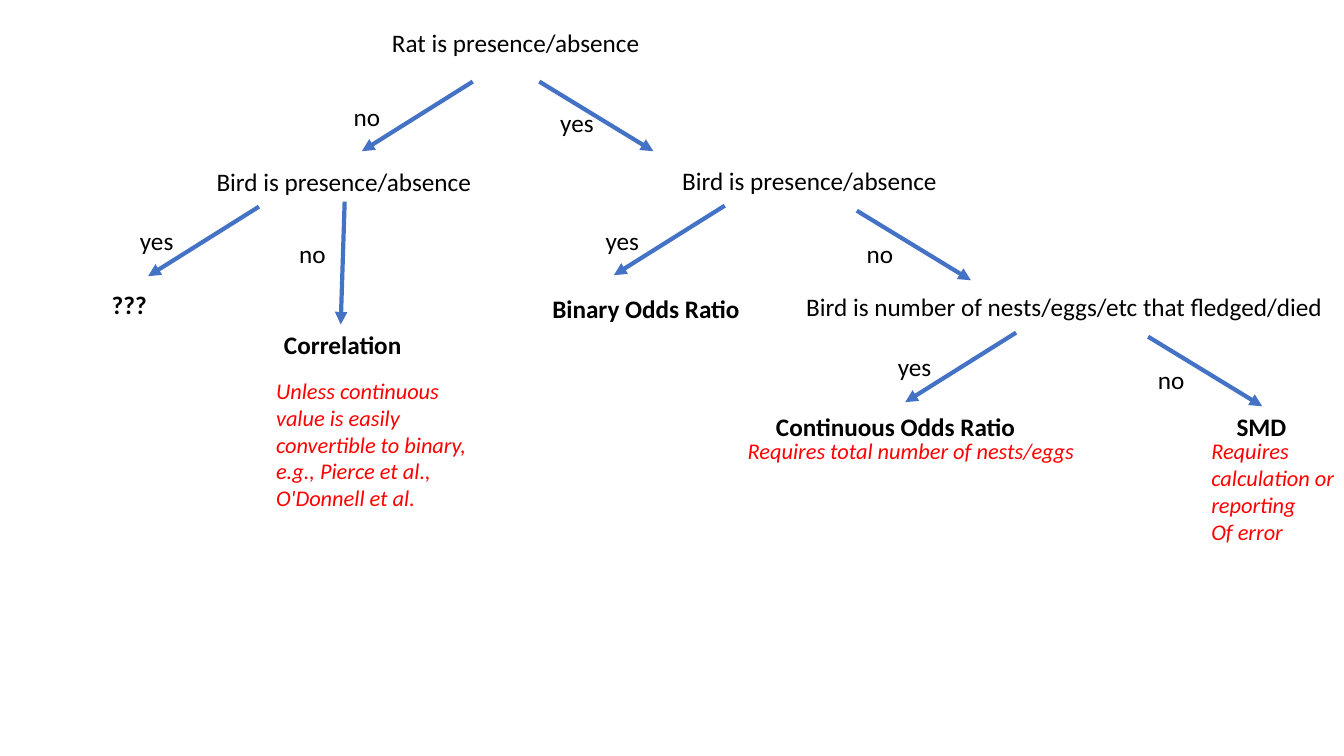
"""Build a decision tree slide for choosing an effect size measure."""
from lxml.etree import SubElement
from pptx import Presentation
from pptx.dml.color import RGBColor
from pptx.enum.shapes import MSO_CONNECTOR
from pptx.enum.text import MSO_AUTO_SIZE
from pptx.oxml.ns import qn
from pptx.util import Pt

BLACK = RGBColor(0x00, 0x00, 0x00)
RED = RGBColor(0xFF, 0x00, 0x00)
BLUE = RGBColor(0x44, 0x72, 0xC4)

PLAIN = {"name": "Calibri", "size": Pt(18), "bold": False, "italic": False}
STRONG = PLAIN | {"bold": True}
REMARK = PLAIN | {"size": Pt(16), "italic": True}

LINE_HEIGHT = 29
BRANCH_LEFT = (-79.2, 49.7)
BRANCH_RIGHT = (81.5, 49.7)
BRANCH_DOWN = (-2.8, 87.8)
ANSWER_WIDTHS = {"yes": 38.9, "no": 33.8}

QUESTIONS = [
    ("Rat is presence/absence", 272.9, 15.8, 193.7),
    ("Bird is presence/absence", 147.6, 115.2, 198.7),
    ("Bird is presence/absence", 480.2, 114.5, 198.7),
    ("Bird is number of nests/eggs/etc that fledged/died", 568.8, 204.5, 387.4),
]
OUTCOMES = [
    ("???", 72.7, 203, 39.6),
    ("Correlation", 195.8, 231.8, 98.6),
    ("Binary Odds Ratio", 387.4, 205.9, 149.8),
    ("Continuous Odds Ratio", 547.2, 290.2, 187.2),
    ("SMD", 876.2, 290.2, 50.4),
]
REMARKS = [
    ("Unless continuous value is easily convertible to binary, "
     "e.g., Pierce et al., O'Donnell et al.", 190.1, 265.7, 166.3, 104.4, True),
    ("Requires total number of nests/eggs", 527, 308.9, 250.6, 26.6, False),
    ("Requires calculation or reporting\nOf error", 858.2, 308.9, 125.3, 85, True),
]
BRANCHES = [
    ("no", 245.5, 69.1, (337.7, 58.3), BRANCH_LEFT),
    ("yes", 393.1, 73.4, (385.2, 58.3), BRANCH_RIGHT),
    ("yes", 92.9, 157.7, (185, 147.6), BRANCH_LEFT),
    ("no", 206.6, 167, (246.2, 144), BRANCH_DOWN),
    ("yes", 425.5, 157.7, (517.7, 146.9), BRANCH_LEFT),
    ("no", 612, 167, (612, 150.5), BRANCH_RIGHT),
    ("yes", 634.3, 247.7, (725.8, 237.6), BRANCH_LEFT),
    ("no", 820.1, 257, (820.1, 240.5), BRANCH_RIGHT),
]


def add_text(page, text, left, top, width, height=LINE_HEIGHT, wrap=False,
             style=PLAIN, color=BLACK):
    """Add a text box with one paragraph for each line of text."""
    box = page.shapes.add_textbox(Pt(left), Pt(top), Pt(width), Pt(height))
    frame = box.text_frame
    frame.text = text
    frame.word_wrap = wrap
    frame.auto_size = MSO_AUTO_SIZE.SHAPE_TO_FIT_TEXT
    for para in frame.paragraphs:
        for span in para.runs:
            for key, value in style.items():
                setattr(span.font, key, value)
            span.font.color.rgb = color


def add_arrow(page, start, reach):
    """Add an arrow from a start point over a horizontal and vertical reach."""
    (x, y), (across, down) = start, reach
    arrow = page.shapes.add_connector(
        MSO_CONNECTOR.STRAIGHT, Pt(x), Pt(y), Pt(x + across), Pt(y + down))
    arrow.line.color.rgb = BLUE
    arrow.line.width = Pt(3)
    SubElement(arrow.line._get_or_add_ln(), qn("a:tailEnd"), type="triangle")
    SubElement(arrow._element.spPr, qn("a:effectLst"))


def add_branch(page, answer, left, top, start, reach):
    """Add an arrow together with the answer that leads along it."""
    add_arrow(page, start, reach)
    add_text(page, answer, left, top, ANSWER_WIDTHS[answer])


def main():
    """Draw the tree and save the deck."""
    deck = Presentation()
    deck.slide_width, deck.slide_height = Pt(960), Pt(540)
    page = deck.slides.add_slide(deck.slide_layouts[6])
    for branch in BRANCHES:
        add_branch(page, *branch)
    for question in QUESTIONS:
        add_text(page, *question)
    for outcome in OUTCOMES:
        add_text(page, *outcome, style=STRONG)
    for remark in REMARKS:
        add_text(page, *remark, style=REMARK, color=RED)
    deck.save("out.pptx")


if __name__ == "__main__":
    main()
